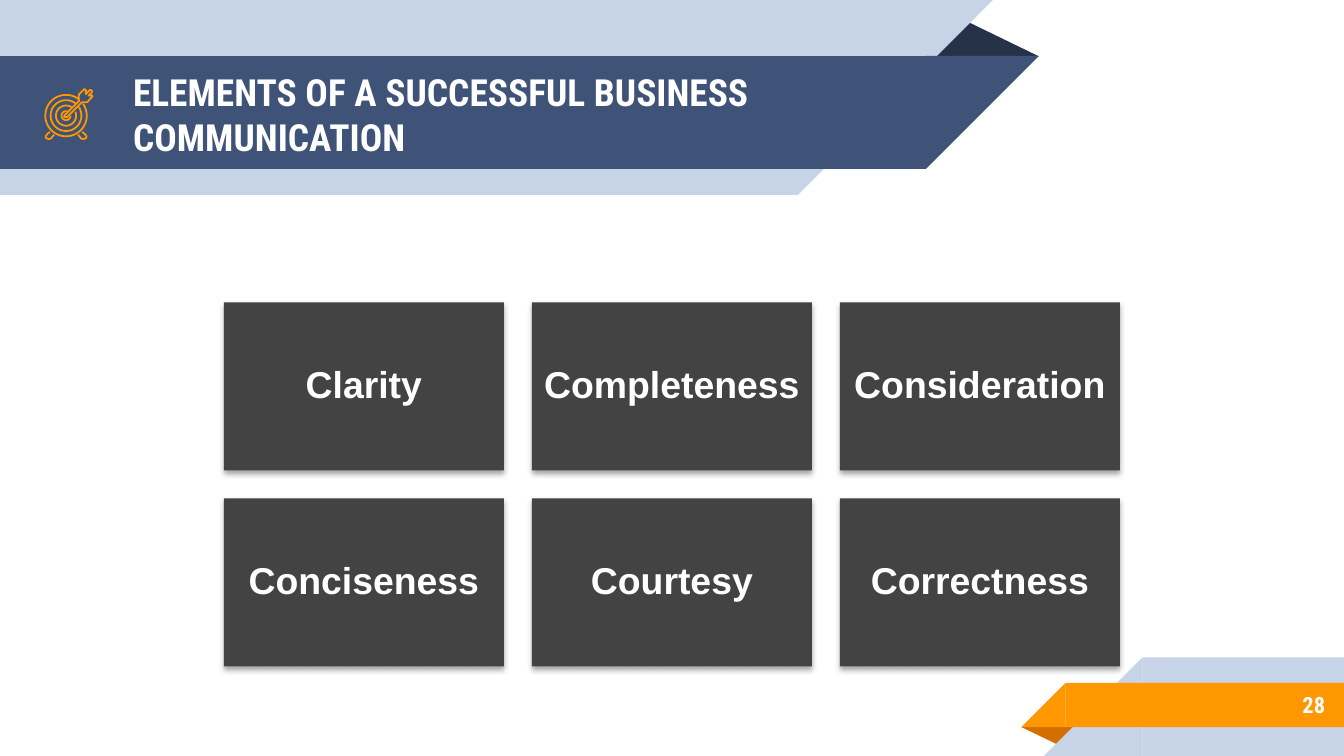
"""Build a slide listing the elements of successful business communication."""
import dataclasses
import math

import pptx
import pptx.dml.color
import pptx.enum.shapes
import pptx.enum.text
import pptx.oxml
import pptx.oxml.ns
import pptx.util

MSO = pptx.enum.shapes.MSO_SHAPE
ALIGN = pptx.enum.text.PP_ALIGN
UNIT = pptx.util.Inches(10) / 48
COLS, ROWS = 48, 27
CENTRE = (2.36, 4.13)
RINGS = [(0.74, 35, 53), (0.55, 34, 52), (0.36, 23, 56), (0.16, 0, 72)]
FOOT = [(-0.58, 0.58), (-0.68, 0.67), (-0.73, 0.74), (-0.72, 0.8),
        (-0.63, 0.84), (-0.54, 0.82), (-0.43, 0.68)]
ARROW = [(0.9, -0.72), (0.81, -0.72), (0.92, -0.82), (0.93, -0.89), (0.86, -0.92),
         (0.71, -0.77), (0.71, -0.91), (0.66, -0.95), (0.47, -0.77), (0.45, -0.67),
         (0.47, -0.53), (-0.06, 0), (-0.06, 0.05), (0.04, 0.05), (0.57, -0.48),
         (0.66, -0.48), (0.76, -0.48), (0.93, -0.67), (0.95, -0.7)]
CARDS = [["Clarity", "Completeness", "Consideration"],
         ["Conciseness", "Courtesy", "Correctness"]]


@dataclasses.dataclass(frozen=True)
class Theme:
    """Colours, fonts and type sizes of the slide."""
    pale: str = "C7D3E6"
    navy: str = "3F5378"
    navy_fold: str = "263248"
    orange: str = "FF9800"
    orange_fold: str = "D26F00"
    card: str = "434343"
    white: str = "FFFFFF"
    head_font: str = "Roboto Condensed"
    body_font: str = "Arial"
    large: int = 20
    small: int = 12


THEME = Theme()


def grid(*values):
    """Turn grid units into whole EMU lengths."""
    return [pptx.util.Emu(round(v * UNIT)) for v in values]


def rgb(code):
    """Return the colour for a hex code."""
    return pptx.dml.color.RGBColor.from_string(code)


def write(sp, text, font=THEME.head_font, size=THEME.large, align=ALIGN.LEFT,
          inset=0.1, spacing=1.0, after=0):
    """Put bold white text, vertically centred, into a shape."""
    tf = sp.text_frame
    tf.word_wrap = True
    tf.auto_size = pptx.enum.text.MSO_AUTO_SIZE.NONE
    tf.vertical_anchor = pptx.enum.text.MSO_ANCHOR.MIDDLE
    tf.margin_left = tf.margin_right = pptx.util.Inches(inset)
    tf.margin_top = tf.margin_bottom = pptx.util.Inches(inset)
    p = tf.paragraphs[0]
    p.alignment, p.line_spacing = align, spacing
    p.space_before, p.space_after = pptx.util.Pt(0), pptx.util.Pt(after)
    r = p.add_run()
    r.text = text
    r.font.name, r.font.size, r.font.bold = font, pptx.util.Pt(size), True
    r.font.color.rgb = rgb(THEME.white)


def add_block(s, kind, box, color, rotation=0, flip=False):
    """Add a borderless filled shape."""
    sp = s.shapes.add_shape(kind, *grid(*box))
    sp.shadow.inherit = False
    sp.fill.solid()
    sp.fill.fore_color.rgb = rgb(color)
    sp.line.fill.background()
    sp.rotation = rotation
    if flip:
        sp._element.spPr.xfrm.set("flipH", "1")
    return sp


def add_fold(s, box, color, rotation=0):
    """Add the dark triangle behind a ribbon."""
    add_block(s, MSO.ISOSCELES_TRIANGLE, box, color, rotation).adjustments[0] = 0.324


def add_ribbon(s, x, y, width, height, color, rotation=0):
    """Add a band from the slide's edge with a slanted end as wide as it is high."""
    tip = x + width if rotation else x - height
    add_block(s, MSO.RECTANGLE, (x, y, width, height), color, rotation, True)
    add_block(s, MSO.RIGHT_TRIANGLE, (tip, y, height, height), color, rotation, True)


def add_stroke(s, offsets, close=False):
    """Draw an unfilled outline through offsets from the target's centre."""
    points = [grid(CENTRE[0] + dx, CENTRE[1] + dy) for dx, dy in offsets]
    builder = s.shapes.build_freeform(*points[0])
    builder.add_line_segments(points[1:], close=close)
    sp = builder.convert_to_shape()
    sp.shadow.inherit = False
    sp.fill.background()
    sp.line.color.rgb = rgb(THEME.orange)
    sp.line.width = pptx.util.Pt(0.96)


def add_target(s):
    """Draw the target icon: open rings, two feet and an arrow."""
    for radius, start, end in RINGS:
        sweep = 360 - (end - start)
        angles = [math.radians(end + sweep * i / 60) for i in range(61)]
        add_stroke(s, [(radius * math.cos(a), -radius * math.sin(a)) for a in angles])
    for side in (1, -1):
        add_stroke(s, [(side * dx, dy) for dx, dy in FOOT])
    add_stroke(s, ARROW, close=True)


def add_card(s, col, row, text):
    """Add one shadowed card of the grid."""
    box = (8 + 11 * col, 10.8 + 7 * row, 10, 6)
    sp = add_block(s, MSO.RECTANGLE, box, THEME.card)
    effects = sp._element.spPr.find(pptx.oxml.ns.qn("a:effectLst"))
    effects.append(pptx.oxml.parse_xml(
        f'<a:outerShdw {pptx.oxml.ns.nsdecls("a")} blurRad="39370" dist="22860" '
        'dir="5400000" rotWithShape="0"><a:srgbClr val="000000">'
        '<a:alpha val="35000"/></a:srgbClr></a:outerShdw>'))
    write(sp, text, font=THEME.body_font, align=ALIGN.CENTER, inset=0.08,
          spacing=0.9, after=7)


def add_title(s, text):
    """Place the title on top of the navy ribbon."""
    sp = s.shapes.title
    sp.left, sp.top, sp.width, sp.height = grid(4.27, 2.06, 27.6, 4.03)
    write(sp, text)
    sp._element.getparent().append(sp._element)


def main():
    """Build and save the slide."""
    prs = pptx.Presentation()
    prs.slide_width, prs.slide_height = grid(COLS, ROWS)
    s = prs.slides.add_slide(prs.slide_layouts[5])

    add_fold(s, (33.02, 0.67, 4.08, 1.34), THEME.navy_fold)
    add_ribbon(s, 0, 0, 28.5, 6.96, THEME.pale, 180)
    add_ribbon(s, 0, 2, 33.07, 4.03, THEME.navy, 180)
    add_fold(s, (36.48, 25.97, 2.06, 0.67), THEME.orange_fold, 180)
    add_ribbon(s, 40.8, 23.48, 7.2, 3.52, THEME.pale)
    add_ribbon(s, 38.06, 24.39, 9.94, 1.58, THEME.orange)

    add_title(s, "ELEMENTS OF A SUCCESSFUL BUSINESS COMMUNICATION")
    number = s.shapes.add_textbox(*grid(39.98, 24.34, 7.82, 1.68))
    write(number, "28", size=THEME.small, align=ALIGN.RIGHT)
    for row, names in enumerate(CARDS):
        for col, name in enumerate(names):
            add_card(s, col, row, name)
    add_target(s)
    prs.save("out.pptx")


if __name__ == "__main__":
    main()
